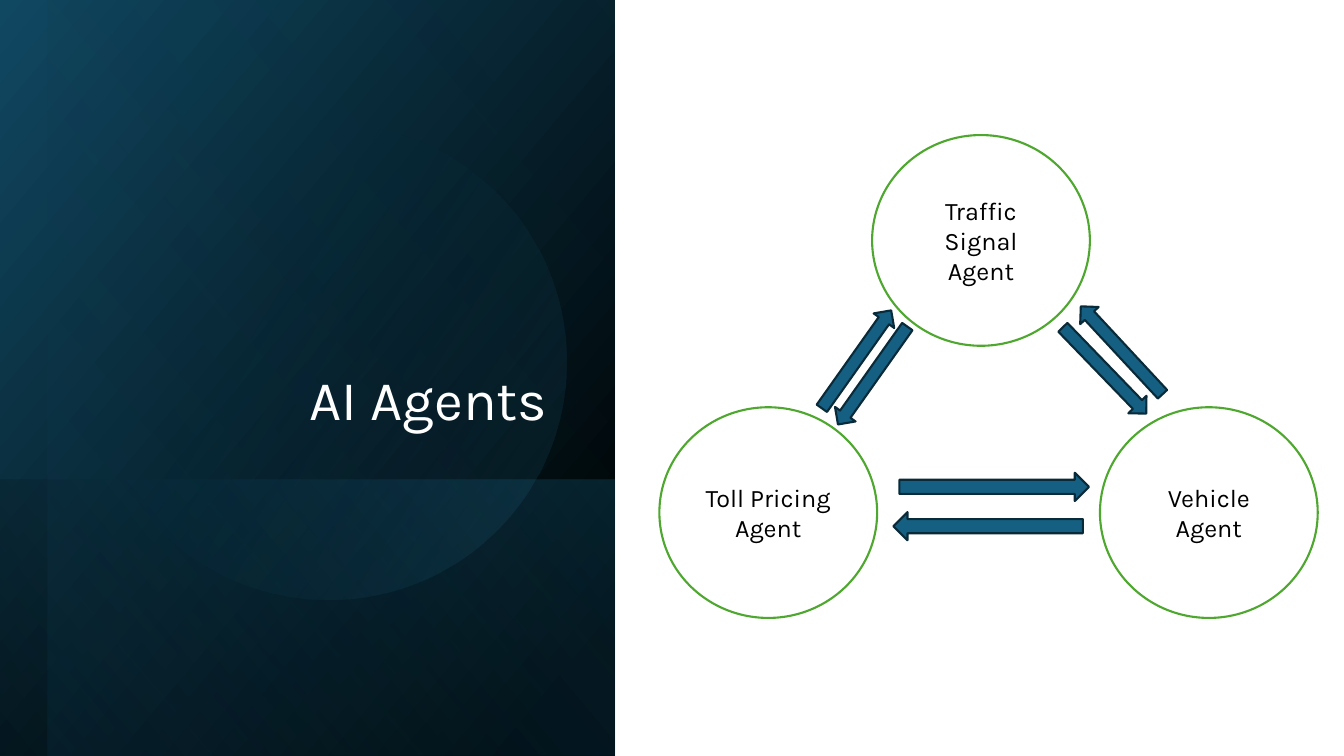
from lxml import etree
from pptx import Presentation
from pptx.dml.color import RGBColor
from pptx.enum.shapes import MSO_SHAPE
from pptx.enum.text import MSO_ANCHOR, MSO_AUTO_SIZE, PP_ALIGN
from pptx.oxml.ns import qn
from pptx.util import Inches, Pt

RECTANGLE, OVAL, ARROW = MSO_SHAPE.RECTANGLE, MSO_SHAPE.OVAL, MSO_SHAPE.RIGHT_ARROW
MIDDLE, BOTTOM = MSO_ANCHOR.MIDDLE, MSO_ANCHOR.BOTTOM
CENTER, RIGHT = PP_ALIGN.CENTER, PP_ALIGN.RIGHT
NO_AUTO_SIZE = MSO_AUTO_SIZE.NONE
TITLE_ONLY = 5

COLORS = {
    "black": "000000",
    "white": "FFFFFF",
    "navy": "104862",
    "teal": "156082",
    "sky": "46B1E1",
    "green": "4EA72E",
    "arrow line": "092A39",
}


def color(name):
    return RGBColor.from_string(COLORS[name])


class AgentSlide:
    font_name = "Karla"
    line_width = Pt(1.5)

    def __init__(self, presentation):
        self.slide = presentation.slides.add_slide(presentation.slide_layouts[TITLE_ONLY])

    def add_shape(self, kind, box, rotation=0):
        shape = self.slide.shapes.add_shape(kind, *map(Inches, box))
        shape.shadow.inherit = False
        shape.rotation = rotation
        return shape

    def add_outlined(self, kind, box, fill, line, rotation=0):
        shape = self.add_shape(kind, box, rotation)
        shape.fill.solid()
        shape.fill.fore_color.rgb = color(fill)
        shape.line.color.rgb = color(line)
        shape.line.width = self.line_width
        return shape

    def add_gradient(self, kind, box, rotation, angle, stops, flipped=False):
        """Each stop is (position %, color name, opacity %)."""
        shape = self.add_shape(kind, box, rotation)
        shape.line.fill.background()
        shape.fill.background()
        properties = shape._element.spPr
        if flipped:
            properties.find(qn("a:xfrm")).set("flipH", "1")
        gradient = etree.Element(qn("a:gradFill"), rotWithShape="1")
        stop_list = etree.SubElement(gradient, qn("a:gsLst"))
        for position, name, opacity in stops:
            stop = etree.SubElement(stop_list, qn("a:gs"), pos=str(position * 1000))
            tint = etree.SubElement(stop, qn("a:srgbClr"), val=COLORS[name])
            if opacity < 100:
                etree.SubElement(tint, qn("a:alpha"), val=str(opacity * 1000))
        etree.SubElement(gradient, qn("a:lin"), ang=str(angle * 60000), scaled="0")
        properties.replace(properties.find(qn("a:noFill")), gradient)

    def set_text(self, shape, text, size, color_name, alignment, anchor):
        frame = shape.text_frame
        frame.text = text
        frame_format = {"word_wrap": True, "auto_size": NO_AUTO_SIZE,
                        "vertical_anchor": anchor}
        for name, value in frame_format.items():
            setattr(frame, name, value)
        paragraph = frame.paragraphs[0]
        paragraph.alignment = alignment
        font = paragraph.runs[0].font
        for name, value in {"name": self.font_name, "size": Pt(size)}.items():
            setattr(font, name, value)
        font.color.rgb = color(color_name)
        return paragraph

    def add_title(self, text, box):
        title = self.slide.shapes.title
        for name, value in zip(("left", "top", "width", "height"), box):
            setattr(title, name, Inches(value))
        self.set_text(title, text, 40, "white", RIGHT, BOTTOM).line_spacing = 0.9
        # Bring the title in front of the backdrop
        self.slide.shapes._spTree.append(title._element)

    def add_agent(self, text, left, top):
        circle = self.add_outlined(OVAL, (left, top, 2.16, 2.09), "white", "green")
        self.set_text(circle, text, 18, "black", CENTER, MIDDLE)

    def add_arrow(self, left, top, width, height, rotation):
        self.add_outlined(ARROW, (left, top, width, height), "teal", "arrow line", rotation)


def main():
    presentation = Presentation()
    presentation.slide_width = Inches(13.33)
    presentation.slide_height = Inches(7.5)
    agents = AgentSlide(presentation)

    # Dark backdrop on the left: box, angle, stops
    panels = [
        ((-0.7, 0.7, 7.5, 6.1), 50, [(8, "black", 100), (100, "navy", 100)]),
        ((1.67, 3.08, 2.74, 6.1), 130, [(2, "teal", 29), (100, "black", 30)]),
        ((-0.46, 0.93, 7.5, 5.63), 130, [(0, "black", 0), (99, "teal", 11)]),
    ]
    for box, angle, stops in panels:
        agents.add_gradient(RECTANGLE, box, 90, angle, stops, flipped=True)
    agents.add_gradient(OVAL, (0.9, 1.23, 4.72, 4.72), 101.6, 290,
                        [(39, "teal", 0), (100, "sky", 15)])

    # Title
    agents.add_title("AI Agents", (0.9, 0.64, 4.63, 3.7))

    # Agent circles
    for text, left, top in [
        ("Traffic Signal Agent", 8.65, 1.34),
        ("Vehicle Agent", 10.91, 4.04),
        ("Toll Pricing Agent", 6.54, 4.04),
    ]:
        agents.add_agent(text, left, top)

    # Pairs of opposite arrows: size, then left, top and rotation of each
    slanted, level = (1.19, 0.25), (1.88, 0.28)
    for size, pair in [
        (slanted, [(7.9, 3.44, 305.3), (8.06, 3.6, 125.3)]),
        (level, [(8.92, 4.69, 0), (8.86, 5.08, 180)]),
        (slanted, [(10.53, 3.35, 227.1), (10.36, 3.55, 46)]),
    ]:
        for left, top, rotation in pair:
            agents.add_arrow(left, top, *size, rotation)

    presentation.save("out.pptx")


if __name__ == "__main__":
    main()
